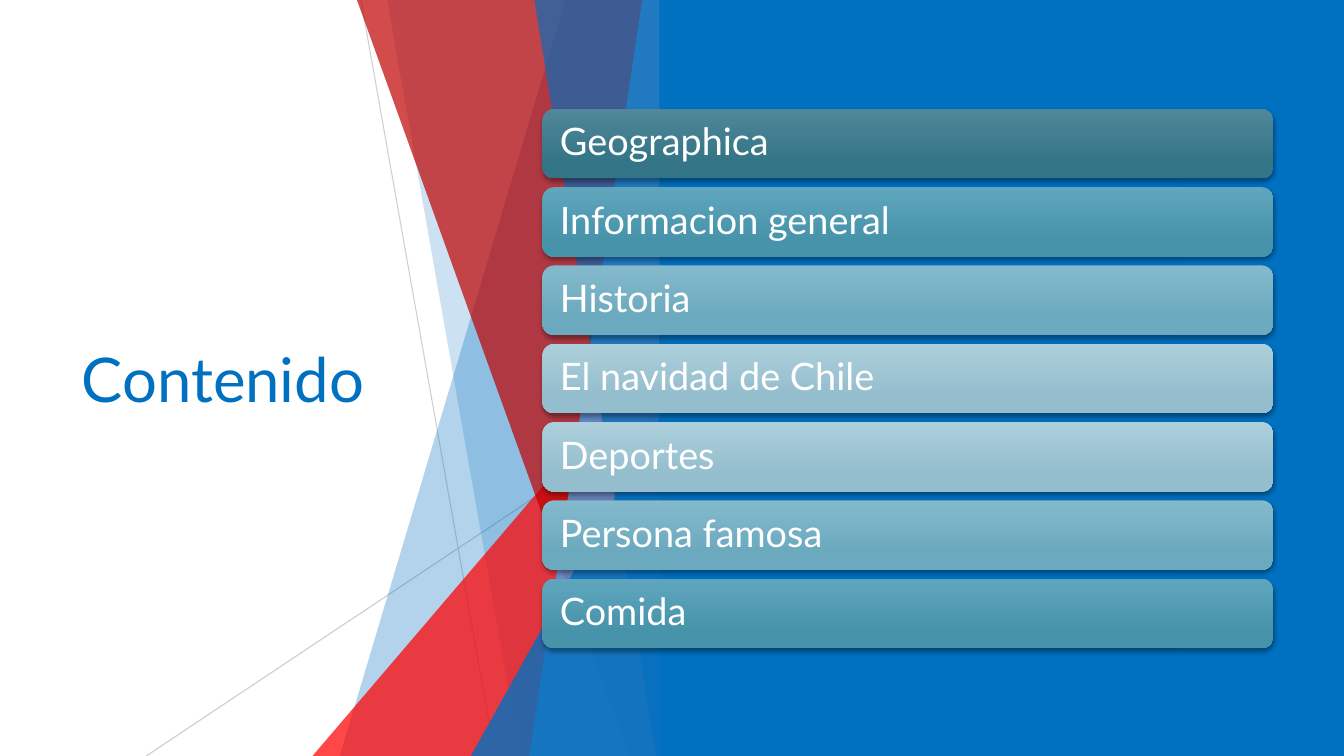
from lxml import etree
from pptx import Presentation
from pptx import util as u
from pptx.dml import color
from pptx.enum import shapes, text
from pptx.oxml import ns

COLORS = {"blue": "0070C0", "sky": "40AFFF", "red": "FF0000", "crimson": "BF0000",
          "gray": "BFBFBF", "white": "FFFFFF", "black": "000000"}
GRADIENTS = [("508899", "337486"), ("5FA6BD", "4793AA"),
             ("84B9CC", "6BA9BE"), ("ACCFDB", "94BDCD")]
BARS = [("Geographica", 0), ("Informacion general", 1), ("Historia", 2),
        ("El navidad de Chile", 3), ("Deportes", 3), ("Persona famosa", 2), ("Comida", 1)]
LINES = [((0.48, 0), (1.81, 7.5), 75), ((3.56, 4.03), (-1.65, 7.5), 80)]
FACETS = [
    ("blue", 30, "band", (2.51, 0.27)),
    ("blue", 20, "band", (0.74, 2.06)),
    ("red", 72, "triangle", (3.56, 4.17)),
    ("crimson", 70, "band", (0.44, 3.14)),
    ("sky", 70, "band", (3.27, 2.15)),
    ("blue", 65, "band", (2.2, 3.41)),
    ("blue", 80, "triangle", (1.99, 3.57)),
]
TITLE_FONT = {"name": "Lato", "size": u.Pt(44), "bold": False}
BAR_FONT = {"name": "Lato", "size": u.Pt(27)}


def rgb(value):
    return color.RGBColor.from_string(value)


def apply(target, values):
    for name, value in values.items():
        setattr(target, name, value)


def set_alpha(parent, percent):
    for element in parent.iter(ns.qn("a:srgbClr")):
        etree.SubElement(element, ns.qn("a:alpha"), val=str(percent * 1000))


def fill_flat(shape, name, alpha=None):
    shape.shadow.inherit = False
    shape.fill.solid()
    shape.fill.fore_color.rgb = rgb(COLORS[name])
    shape.line.fill.background()
    if alpha:
        set_alpha(shape._element.spPr, alpha)


def add_shadow(shape):
    shape.shadow.inherit = False
    effects = shape._element.spPr.find(ns.qn("a:effectLst"))
    shadow = etree.SubElement(effects, ns.qn("a:outerShdw"), blurRad=str(u.Pt(3)),
                              dist=str(u.Pt(2)), dir="5400000", rotWithShape="0")
    etree.SubElement(shadow, ns.qn("a:srgbClr"), val=COLORS["black"])
    set_alpha(shadow, 35)


def add_facets(slide, left, top, width, height):
    right, bottom = left + width, top + height
    for start, end, alpha in LINES:
        points = [u.Inches(v) for x, y in (start, end) for v in (left + x, top + y)]
        connector = slide.shapes.add_connector(shapes.MSO_CONNECTOR.STRAIGHT, *points)
        connector.line.color.rgb = rgb(COLORS["gray"])
        connector.line.width = u.Pt(0.75)
        properties = connector._element.spPr
        set_alpha(properties, alpha)
        etree.SubElement(properties, ns.qn("a:effectLst"))
    for name, alpha, kind, (first, second) in FACETS:
        if kind == "triangle":
            box = (right - first, bottom - second, first, second)
            shape = slide.shapes.add_shape(shapes.MSO_SHAPE.ISOSCELES_TRIANGLE,
                                           *map(u.Inches, box))
            shape.adjustments[0] = 1
        else:
            corners = [(left + first, top), (right, top), (right, bottom),
                       (left + second, bottom)]
            corners = [(u.Inches(x), u.Inches(y)) for x, y in corners]
            builder = slide.shapes.build_freeform(*corners[0])
            builder.add_line_segments(corners[1:], close=True)
            shape = builder.convert_to_shape()
        fill_flat(shape, name, alpha)


def add_panel(slide, left, top, width, height):
    panel = slide.shapes.add_shape(shapes.MSO_SHAPE.RECTANGLE,
                                   *map(u.Inches, (left, top, width, height)))
    fill_flat(panel, "blue")


def add_title(slide, left, top, width, height):
    title = slide.shapes.title
    apply(title, {"left": u.Inches(left), "top": u.Inches(top),
                  "width": u.Inches(width), "height": u.Inches(height)})
    frame = title.text_frame
    apply(frame, {"text": "Contenido", "word_wrap": True,
                  "vertical_anchor": text.MSO_ANCHOR.MIDDLE})
    paragraph = frame.paragraphs[0]
    paragraph.alignment = text.PP_ALIGN.LEFT
    apply(paragraph.font, TITLE_FONT)
    paragraph.font.color.rgb = rgb(COLORS["blue"])


def add_bars(slide, left, top, width, height, bar_height=0.69):
    pitch = (height - bar_height) / (len(BARS) - 1)
    for index, (label, shade) in enumerate(BARS):
        box = (left, top + index * pitch, width, bar_height)
        bar = slide.shapes.add_shape(shapes.MSO_SHAPE.ROUNDED_RECTANGLE,
                                     *map(u.Inches, box))
        bar.fill.gradient()
        bar.fill.gradient_angle = 270
        stops = zip(bar.fill.gradient_stops, (0, 0.78), GRADIENTS[shade])
        for stop, position, value in stops:
            stop.position = position
            stop.color.rgb = rgb(value)
        bar.line.fill.background()
        add_shadow(bar)
        frame = bar.text_frame
        apply(frame, {"text": label, "word_wrap": True,
                      "vertical_anchor": text.MSO_ANCHOR.MIDDLE,
                      "margin_left": u.Inches(0.14), "margin_right": u.Inches(0.14)})
        paragraph = frame.paragraphs[0]
        apply(paragraph, {"alignment": text.PP_ALIGN.LEFT, "line_spacing": 0.9})
        apply(paragraph.font, BAR_FONT)
        paragraph.font.color.rgb = rgb(COLORS["white"])


def main():
    presentation = Presentation()
    presentation.slide_width = u.Inches(13.33)
    presentation.slide_height = u.Inches(7.5)
    slide = presentation.slides.add_slide(presentation.slide_layouts[5])
    slide.background.fill.solid()
    slide.background.fill.fore_color.rgb = rgb(COLORS["white"])
    add_facets(slide, 3.1, 0, 3.56, 7.5)
    add_panel(slide, 6.54, 0, 6.79, 7.5)
    add_title(slide, 0.71, 1.51, 3.88, 4.48)
    add_bars(slide, 5.38, 1.08, 7.25, 5.35)
    presentation.save("out.pptx")


if __name__ == "__main__":
    main()
